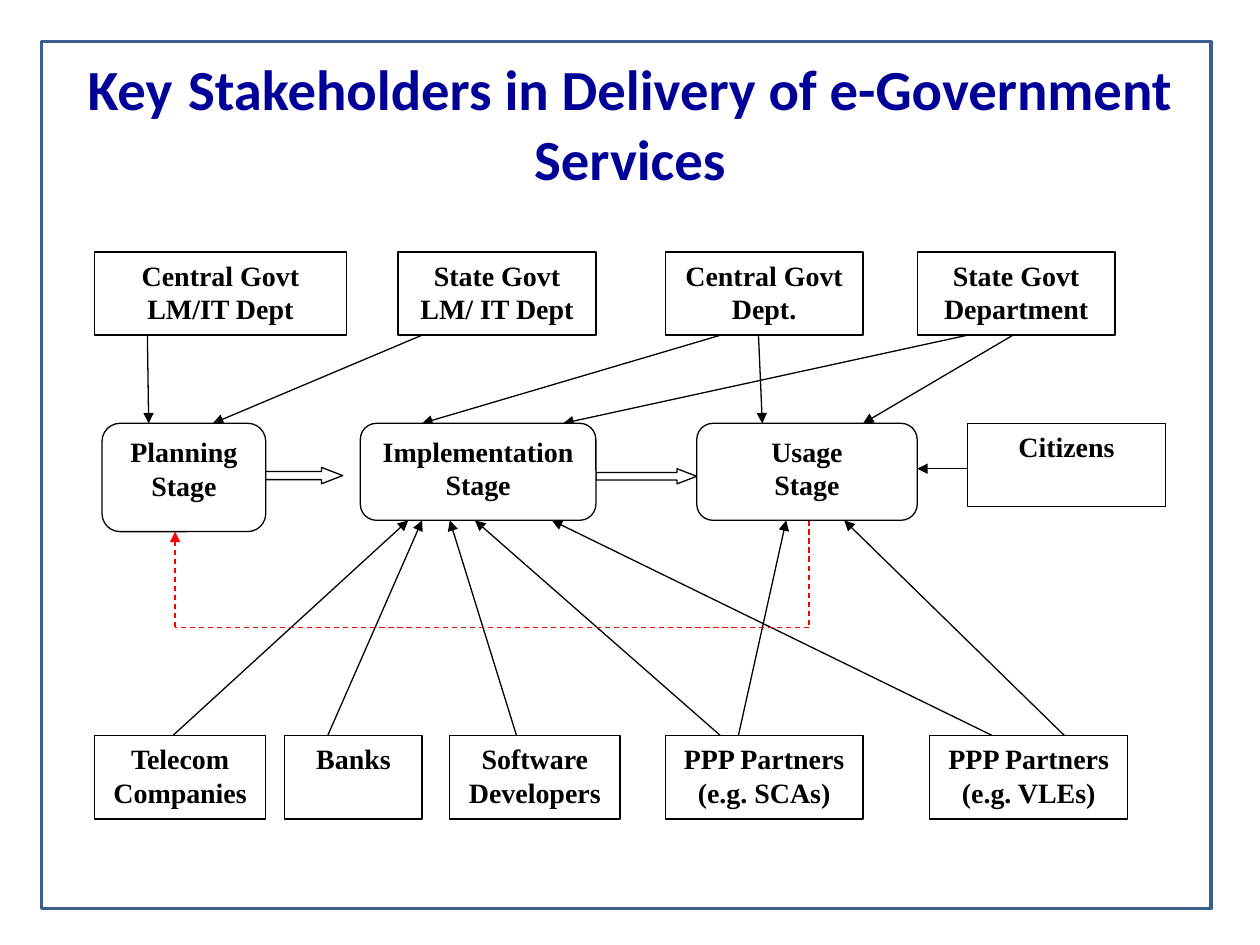
from typing import NamedTuple

from lxml.etree import SubElement
from pptx import Presentation
from pptx.dml.color import RGBColor
from pptx.enum.dml import MSO_LINE
from pptx.enum.shapes import MSO_CONNECTOR, MSO_SHAPE
from pptx.enum.text import MSO_ANCHOR, PP_ALIGN
from pptx.oxml.ns import qn
from pptx.util import Inches, Pt

BLACK = RGBColor(0x00, 0x00, 0x00)
WHITE = RGBColor(0xFF, 0xFF, 0xFF)
RED = RGBColor(0xFF, 0x00, 0x00)
NAVY = RGBColor(0x00, 0x00, 0x99)
FRAME = RGBColor(0x3A, 0x5F, 0x8C)

prs = Presentation()
prs.slide_width, prs.slide_height = Inches(10), Inches(7.5)
COL = prs.slide_width / 100
ROW = prs.slide_height / 75

BOX_H, BOX_W = 6.6, 15.7
TOP, MID, LOW = 20, 33.6, 58.4
TOP_END = TOP + BOX_H
STAGE_H = 7.7
STAGE_END = MID + STAGE_H
PLAN_H = 8.6
LOOP_ROW = 49.8


class Box(NamedTuple):
    text: str
    col: float
    row: float
    width: float = BOX_W
    height: float = BOX_H
    kind: MSO_SHAPE = MSO_SHAPE.RECTANGLE


class Link(NamedTuple):
    x1: float
    y1: float
    x2: float
    y2: float
    color: RGBColor = BLACK
    dashed: bool = False
    head: bool = True


ROUND = MSO_SHAPE.ROUNDED_RECTANGLE
ARROW = MSO_SHAPE.RIGHT_ARROW

BOXES = [
    Box("Central Govt LM/IT Dept", 7.5, TOP, 20),
    Box("State Govt LM/ IT Dept", 31.6, TOP),
    Box("Central Govt Dept.", 52.8, TOP),
    Box("State Govt Department", 72.8, TOP),
    Box("Citizens", 76.8, MID),
    Box("Telecom Companies", 7.5, LOW, 13.6),
    Box("Banks", 22.6, LOW, 10.9),
    Box("Software Developers", 35.7, LOW, 13.5),
    Box("PPP Partners (e.g. SCAs)", 52.8, LOW),
    Box("PPP Partners (e.g. VLEs)", 73.8, LOW),
    Box("Planning\nStage", 8.1, MID, 13, PLAN_H, ROUND),
    Box("Implementation Stage", 28.6, MID, 18.7, STAGE_H, ROUND),
    Box("Usage\nStage", 55.3, MID, 17.5, STAGE_H, ROUND),
]
FLOWS = [
    Box("", 19.7, 37.1, 7.5, 1.3, ARROW),
    Box("", 47.3, 37.2, 8, 1.2, ARROW),
]
DOWN = [(11.7, 11.8), (33.5, 16.9), (57.2, 33.5), (60.2, 60.5), (76.8, 44.7), (80.4, 68.5)]
UP = [(13.7, 32.4), (26, 33.5), (41, 35.7), (57.2, 37.7), (58.6, 62.4), (78.8, 43.8), (84.5, 67)]
LINKS = [
    *(Link(a, TOP_END, b, MID) for a, b in DOWN),
    *(Link(a, LOW, b, STAGE_END) for a, b in UP),
    Link(76.8, 37.2, 72.8, 37.2),
    Link(64.2, STAGE_END, 64.2, LOOP_ROW, RED, True, False),
    Link(64.2, LOOP_ROW, 13.9, LOOP_ROW, RED, True, False),
    Link(13.9, LOOP_ROW, 13.9, MID + PLAN_H, RED, True),
]


def x(cols: float) -> int:
    return round(cols * COL)


def y(rows: float) -> int:
    return round(rows * ROW)


def add_run(p, text: str, *, font: str, size: float, color: RGBColor, bold: bool = True) -> None:
    r = p.add_run()
    r.text = text
    r.font.name, r.font.size, r.font.bold = font, Pt(size), bold
    r.font.color.rgb = color


def add_box(s, box: Box):
    sp = s.shapes.add_shape(box.kind, x(box.col), y(box.row), x(box.width), y(box.height))
    sp.shadow.inherit = False
    sp.fill.solid()
    sp.fill.fore_color.rgb = WHITE
    sp.line.color.rgb = BLACK
    sp.line.width = Pt(0.75)
    if box.kind == ARROW:
        sp.adjustments[1] = 1.3
    tf = sp.text_frame
    tf.word_wrap = True
    tf.vertical_anchor = MSO_ANCHOR.TOP
    for i, line in enumerate(box.text.split("\n") if box.text else []):
        p = tf.add_paragraph() if i else tf.paragraphs[0]
        p.alignment = PP_ALIGN.CENTER
        add_run(p, line, font="Times New Roman", size=16, color=BLACK)
    return sp


def add_link(s, link: Link) -> None:
    cx = s.shapes.add_connector(MSO_CONNECTOR.STRAIGHT, x(link.x1), y(link.y1), x(link.x2), y(link.y2))
    cx.line.color.rgb = link.color
    cx.line.width = Pt(0.75)
    if link.dashed:
        cx.line.dash_style = MSO_LINE.DASH
    if link.head:
        SubElement(cx.line._get_or_add_ln(), qn("a:tailEnd"), type="triangle")
    SubElement(cx._element.spPr, qn("a:effectLst"))


def add_title(s) -> None:
    tf = s.shapes.add_textbox(x(5), y(3), x(90), y(12.5)).text_frame
    tf.word_wrap = True
    tf.vertical_anchor = MSO_ANCHOR.MIDDLE
    p = tf.paragraphs[0]
    p.alignment = PP_ALIGN.CENTER
    add_run(p, "Key", font="Calibri", size=32.4, color=NAVY)
    add_run(p, " ", font="Calibri", size=39.6, color=BLACK)
    add_run(p, "Stakeholders in Delivery of e-Government Services", font="Calibri", size=32.4, color=NAVY)


def add_frame(s) -> None:
    sp = add_box(s, Box("", 3.3, 3.3, 92.8, 68.8))
    sp.fill.background()
    sp.line.color.rgb = FRAME
    sp.line.width = Pt(2)


def main() -> None:
    s = prs.slides.add_slide(prs.slide_layouts[6])
    add_title(s)
    for link in LINKS:
        add_link(s, link)
    for box in FLOWS + BOXES:
        add_box(s, box)
    add_frame(s)
    prs.save("out.pptx")


if __name__ == "__main__":
    main()
